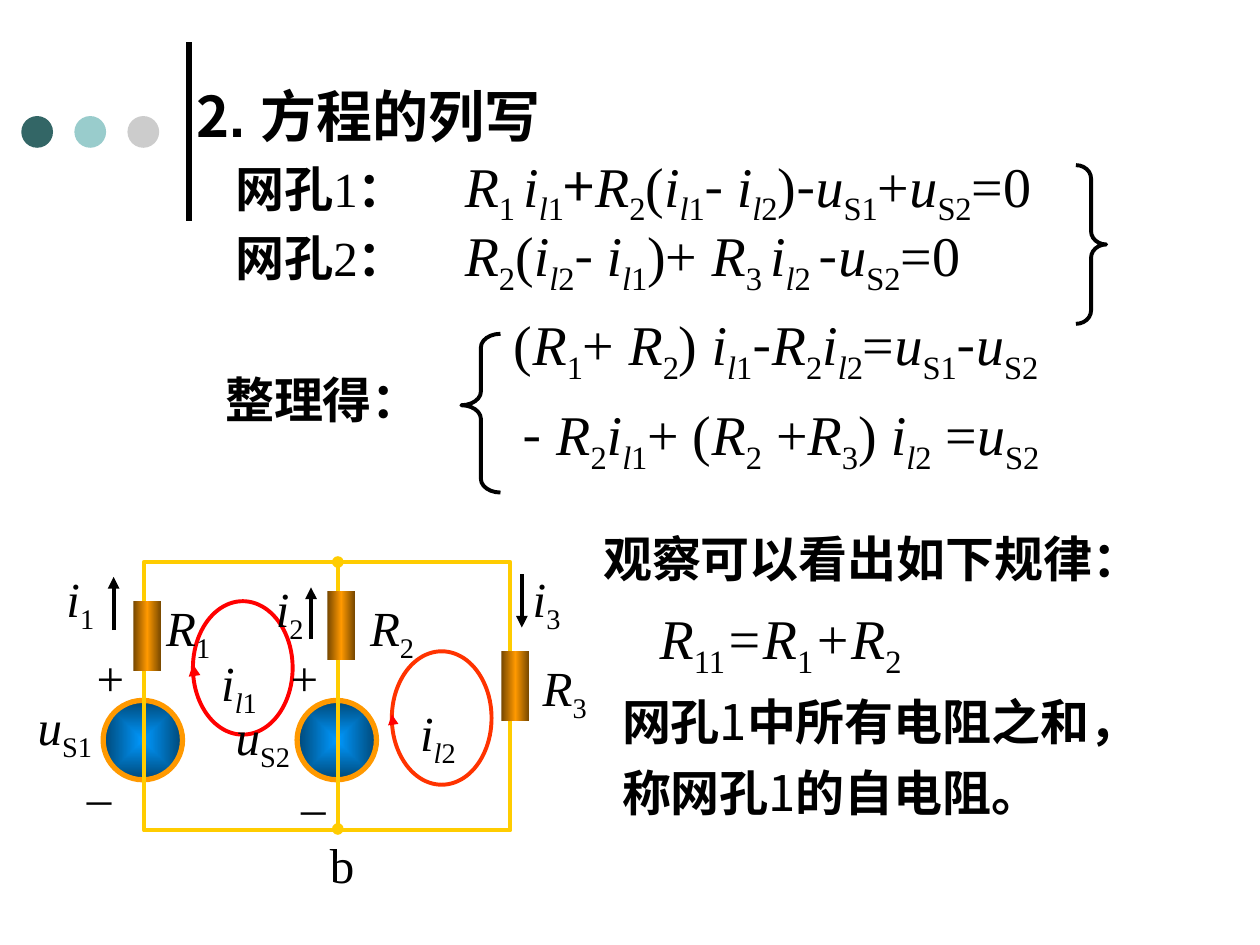
from lxml.etree import SubElement
from pptx import Presentation
from pptx.dml.color import RGBColor
from pptx.enum.shapes import MSO_CONNECTOR, MSO_SHAPE
from pptx.enum.text import MSO_AUTO_SIZE
from pptx.oxml import parse_xml
from pptx.oxml.ns import nsdecls, qn
from pptx.util import Cm, Pt

HUES = {
    "ink": "000000", "teal": "336666", "aqua": "99CCCC", "gray": "CCCCCC",
    "red": "FF0000", "flame": "FF3300", "wire": "FFCC00", "rim": "FF9900",
    "blue": "0099FF", "navy": "004776", "brown": "764700",
}
# Each mark switches one trait of the text on or off
MARKS = {"*": "italic", "_": "sub", "#": "bold", "~": "sans", "^": "big"}
ROUND = ('<a:path path="rect"><a:fillToRect l="50000" t="50000" '
         'r="50000" b="50000"/></a:path>')
ACROSS = '<a:lin ang="0" scaled="1"/>'


class Board:
    serif, sans = "Times New Roman", "Noto Sans CJK SC"
    small, large = 28, 32

    def __init__(self, slide):
        self.slide = slide

    def color(self, name):
        return RGBColor.from_string(HUES[name])

    def stroke(self, item, hue, width):
        item.line.color.rgb = self.color(hue)
        item.line.width = Pt(width)

    def run(self, para, text, on, face):
        run = para.add_run()
        run.text = text
        font = run.font
        font.size = Pt(self.large if "big" in on else self.small)
        font.bold, font.italic = "bold" in on, "italic" in on
        font.color.rgb = self.color("ink")
        font.name = self.sans if "sans" in on else face
        props = run._r.get_or_add_rPr()
        SubElement(props, qn("a:ea")).set("typeface", self.sans)
        if "sub" in on:
            props.set("baseline", "-25000")

    def text(self, x, y, w, h, *lines, face=serif, tab=0, indent=0, space=1):
        frame = self.slide.shapes.add_textbox(Cm(x), Cm(y), Cm(w), Cm(h)).text_frame
        frame.word_wrap = True
        frame.auto_size = MSO_AUTO_SIZE.SHAPE_TO_FIT_TEXT
        for row, line in enumerate(lines):
            para = frame.add_paragraph() if row else frame.paragraphs[0]
            props = para._p.get_or_add_pPr()
            if tab:
                stop = SubElement(SubElement(props, qn("a:tabLst")), qn("a:tab"))
                stop.set("pos", str(Cm(tab)))
                stop.set("algn", "l")
            if indent and not row:
                props.set("marL", str(Cm(indent)))
            para.line_spacing = space
            on, piece = set(), ""
            for sign in line:
                if sign not in MARKS:
                    piece += sign
                    continue
                if piece:
                    self.run(para, piece, on, face)
                on, piece = on ^ {MARKS[sign]}, ""
            if piece:
                self.run(para, piece, on, face)

    def shape(self, kind, x, y, w, h, fill=None, line=None, width=2.25):
        item = self.slide.shapes.add_shape(kind, Cm(x), Cm(y), Cm(w), Cm(h))
        item.shadow.inherit = False
        if fill:
            item.fill.solid()
            item.fill.fore_color.rgb = self.color(fill)
        else:
            item.fill.background()
        if line:
            self.stroke(item, line, width)
        else:
            item.line.fill.background()
        return item

    def blend(self, item, stops, way):
        marks = "".join(
            f'<a:gs pos="{pos * 1000}"><a:srgbClr val="{HUES[hue]}"/></a:gs>'
            for pos, hue in stops)
        grad = parse_xml(f'<a:gradFill {nsdecls("a")} rotWithShape="1">'
                         f'<a:gsLst>{marks}</a:gsLst>{way}</a:gradFill>')
        props = item._element.spPr
        props.replace(props.find(qn("a:noFill")), grad)

    def line(self, x1, y1, x2, y2, hue="ink", width=2.25, head=None, tail=None):
        item = self.slide.shapes.add_connector(
            MSO_CONNECTOR.STRAIGHT, Cm(x1), Cm(y1), Cm(x2), Cm(y2))
        self.stroke(item, hue, width)
        props = item._element.spPr
        for tag, tip in (("a:headEnd", head), ("a:tailEnd", tail)):
            if tip:
                SubElement(props.find(qn("a:ln")), qn(tag)).set("type", tip)
        SubElement(props, qn("a:effectLst"))

    def brace(self, kind, x, y, w, h, curve, point):
        item = self.shape(kind, x, y, w, h, line="ink")
        item.adjustments[0], item.adjustments[1] = curve, point

    def loop(self, x, y, hue, width, label):
        self.shape(MSO_SHAPE.OVAL, x, y, 2.01, 2.69, line=hue)
        self.text(x + 0.32, y + 0.91, 1.45, 1.6, label)
        self.line(x + 0.02, y + 1.42, x, y + 1.27, "red", width, tail="triangle")


def main():
    deck = Presentation()
    deck.slide_width, deck.slide_height = Cm(25.4), Cm(19.05)
    board = Board(deck.slides.add_slide(deck.slide_layouts[6]))

    # Rule and dots beside the title
    board.line(3.81, 4.45, 3.81, 0.84, width=3)
    for spot, hue in enumerate(("teal", "aqua", "gray")):
        board.shape(MSO_SHAPE.OVAL, 0.43 + 1.07 * spot, 2.34, 0.64, 0.64, hue)

    # Mesh equations
    board.text(4.5, 2.92, 18.8, 1.8,
               "#~网孔~#1#：#\t^*R*_1 _*i_l*1_~+~*R*_2_(*i_l*1_~- ~*i_l*2_)"
               "~-~*u*_S1_+*u*_S2_=0", tab=4.62)
    board.text(4.5, 4.32, 18.6, 1.8,
               "#~网孔~#2#：#\t^*R*_2_(*i_l*2_~- ~*i_l*1_)+ *R*_3 _*i_l*2 _"
               "~-~*u*_S2_=0", tab=4.62)
    board.brace(MSO_SHAPE.RIGHT_BRACE, 21.69, 3.33, 0.61, 3.2, 0.44, 0.5)
    board.text(4.29, 7.32, 6.2, 1.45, "#整理得：")
    board.text(10.11, 6.12, 12.8, 1.8,
               "^(*R*_1_+ *R*_2_) *i_l*1_~-~*R*_2_*i_l*2_=*u*_S1_~-~*u*_S2_")
    board.text(10.29, 7.92, 12.8, 1.8,
               "^~-~* R*_2_*i_l*1_+ (*R*_2_ +*R*_3_) *i_l*2_ =*u*_S2_")
    board.brace(MSO_SHAPE.LEFT_BRACE, 9.3, 6.73, 0.79, 3.2, 0.35, 0.45)

    # Title and findings
    board.text(3.71, 1.52, 8.61, 1.63, "^#~2~. 方程的列写", face="Arial")
    board.text(11.91, 10.52, 12.29, 1.45, "~#观察可以看出如下规律：")
    board.text(12.29, 11.73, 11, 4.95, "^*R*_11_*=R*_1_*+R*_2_",
               "~#网孔#1#中所有电阻之和，称网孔#1#的自电阻。", indent=0.76, space=1.2)

    # Mesh loops and voltage sources
    board.loop(3.89, 12.12, "red", 2.25, "*i_l*1_")
    board.loop(7.9, 13.13, "flame", 0.75, "*i_l*2_")
    for x in (2.08, 5.99):
        ball = board.shape(MSO_SHAPE.OVAL, x, 14.12, 1.6, 1.6, line="rim", width=3)
        board.blend(ball, [(0, "blue"), (100, "navy")], ROUND)

    # Node and polarity signs
    for x, y, sign in ((6.4, 16.69, "b"), (1.7, 12.93, "+"), (1.5, 15.32, "–"),
                       (5.61, 12.93, "+"), (5.82, 15.52, "–")):
        board.text(x, y, 0.99, 1.45, sign)

    # Branch current arrows
    for x, start, end in ((2.29, 12.7, 11.63), (10.52, 11.58, 12.65),
                          (6.27, 12.88, 11.84)):
        board.line(x, start, x, end, tail="triangle")

    # Wires and resistors
    board.shape(MSO_SHAPE.RECTANGLE, 2.9, 11.33, 7.39, 5.41, line="wire")
    board.line(6.81, 11.33, 6.81, 16.71, "wire", head="oval", tail="oval")
    for x, y in ((2.69, 12.12), (6.6, 11.91), (10.11, 13.13)):
        part = board.shape(MSO_SHAPE.RECTANGLE, x, y, 0.56, 1.4)
        board.blend(part, [(0, "brown"), (50, "rim"), (100, "brown")], ACROSS)

    # Names of currents, sources and resistors
    for x, y, w, name, mark in (
            (1.09, 11.33, 1.24, "i", "1"), (5.31, 11.53, 1.24, "i", "2"),
            (10.49, 11.33, 1.65, "i", "3"), (0.51, 13.92, 1.98, "u", "S1"),
            (4.5, 14.12, 2.39, "u", "S2"), (3.1, 11.91, 1.78, "R", "1"),
            (7.21, 11.91, 1.88, "R", "2"), (10.69, 13.13, 1.78, "R", "3")):
        board.text(x, y, w, 1.6, f"*{name}*_{mark}_")

    deck.save("out.pptx")


if __name__ == "__main__":
    main()
